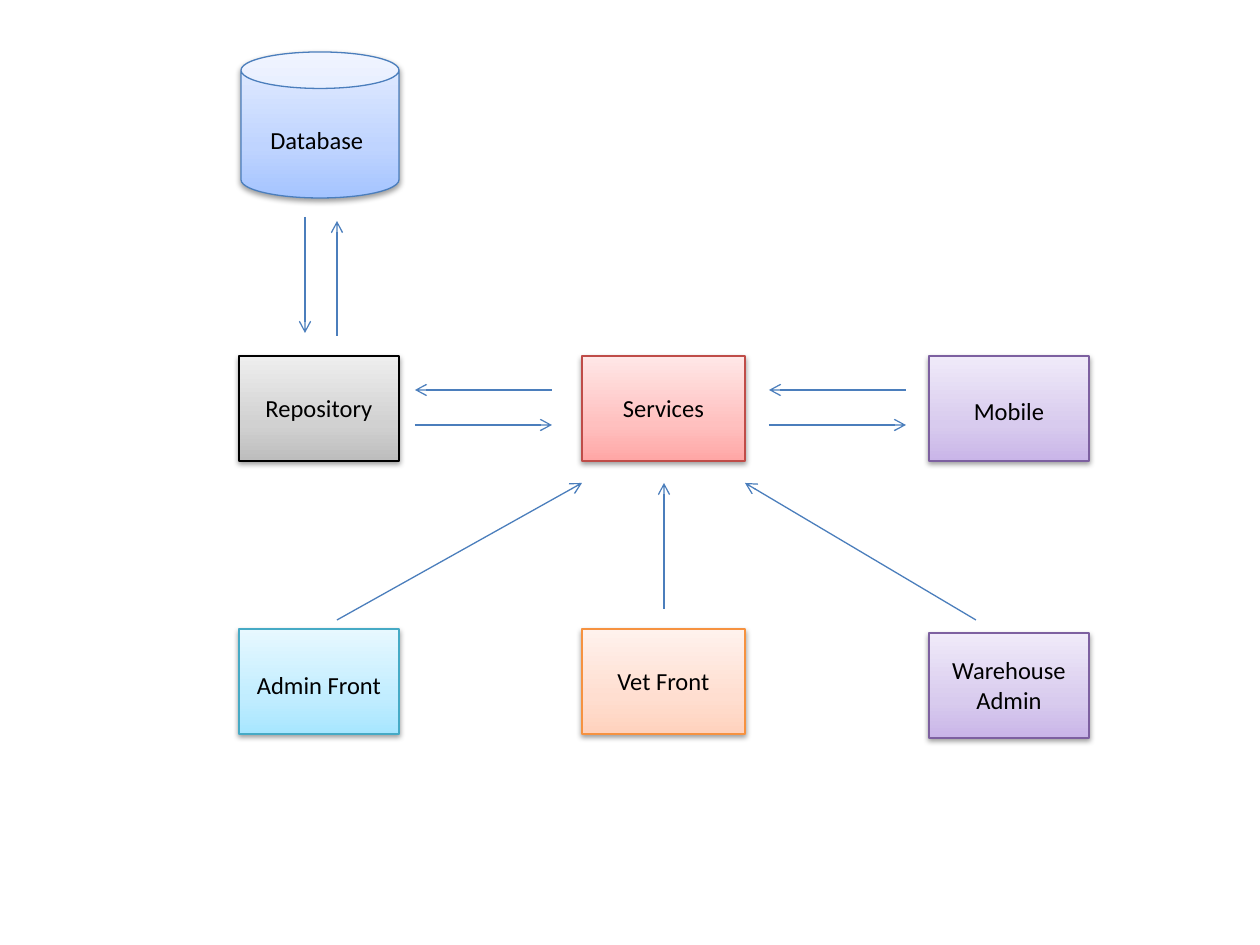
from lxml import etree
from pptx import Presentation, util as u
from pptx.dml.color import RGBColor
from pptx.enum import shapes, text
from pptx.oxml import parse_xml
from pptx.oxml.ns import nsdecls, qn

PX = u.Inches(1) / 126
BLACK = RGBColor(0x00, 0x00, 0x00)
BLUE = RGBColor(0x4B, 0x7E, 0xBC)
RED = RGBColor(0xBF, 0x4C, 0x48)
AQUA = RGBColor(0x46, 0xAA, 0xC5)
ORANGE = RGBColor(0xF6, 0x92, 0x40)
PURPLE = RGBColor(0x7D, 0x60, 0xA0)


def shades(*codes):
    """Return the bottom, middle and top colours of a gradient."""
    return [RGBColor.from_string(code) for code in codes]


GREY_FILL = shades("BDBDBD", "D1D1D1", "EEEEEE")
BLUE_FILL = shades("A4C4FF", "BFD4FF", "E6EEFF")
RED_FILL = shades("FFA6A5", "FFC0BF", "FFE7E7")
AQUA_FILL = shades("A7E6FF", "C1EDFF", "E7F8FF")
ORANGE_FILL = shades("FFD2BD", "FFDED0", "FFF2ED")
PURPLE_FILL = shades("C9B5E8", "D8CBEE", "F0EAF9")

LEFT, CENTRE, RIGHT = 239, 582, 929
SIDE_WIDTH, CENTRE_WIDTH, HEIGHT = 160, 163, 105
MIDDLE_ROW, FRONT_ROW = 356, 629


def px(*lengths):
    """Turn picture pixels into EMU."""
    return [u.Emu(round(length * PX)) for length in lengths]


def paint(body, fill, outline):
    """Give a body its upward gradient, outline and soft shadow."""
    body.fill.gradient()
    gradient = body._element.spPr.find(qn("a:gradFill"))
    stops = "".join(
        f'<a:gs pos="{pos}"><a:srgbClr val="{color}"/></a:gs>'
        for pos, color in zip((0, 35000, 100000), fill))
    gradient.getparent().replace(gradient, parse_xml(
        f'<a:gradFill {nsdecls("a")} rotWithShape="1"><a:gsLst>{stops}</a:gsLst>'
        '<a:lin ang="16200000" scaled="0"/></a:gradFill>'))
    body.line.color.rgb = outline
    body.line.width = u.Pt(0.75)
    body.shadow.inherit = False
    shadow = parse_xml(
        f'<a:outerShdw {nsdecls("a")} blurRad="40000" dist="20000" dir="5400000" '
        'rotWithShape="0"><a:srgbClr val="000000"><a:alpha val="38000"/>'
        '</a:srgbClr></a:outerShdw>')
    body._element.spPr.find(qn("a:effectLst")).append(shadow)


def add_node(slide, box, lines, fill, outline, label_drop,
             outline_shape=shapes.MSO_SHAPE.RECTANGLE, inset=0,
             align=text.PP_ALIGN.CENTER):
    """Group a painted body in box with its label, dropped from the box top."""
    left, top, width, height = box
    node = slide.shapes.add_group_shape()
    body = node.shapes.add_shape(outline_shape, *px(left, top, width, height))
    paint(body, fill, outline)
    label = node.shapes.add_textbox(*px(
        left + inset, top + label_drop, width - 2 * inset, 14 + 29 * len(lines)))
    frame = label.text_frame
    frame.word_wrap = True
    frame.auto_size = text.MSO_AUTO_SIZE.SHAPE_TO_FIT_TEXT
    for index, line in enumerate(lines):
        paragraph = frame.add_paragraph() if index else frame.paragraphs[0]
        paragraph.alignment = align
        run = paragraph.add_run()
        run.text = line
        run.font.name = "Calibri"
        run.font.size = u.Pt(14)
        run.font.color.rgb = BLACK


def add_arrow(slide, start, end):
    """Draw a thin arrow from start to end."""
    arrow = slide.shapes.add_connector(
        shapes.MSO_CONNECTOR.STRAIGHT, *px(*start, *end))
    arrow.line.color.rgb = BLUE
    arrow.line.width = u.Pt(0.75)
    etree.SubElement(arrow.line._get_or_add_ln(), qn("a:tailEnd"), type="arrow")
    etree.SubElement(arrow._element.spPr, qn("a:effectLst"))


def add_exchange(slide, box):
    """Draw a leftward arrow on the box top and a rightward one on its bottom."""
    left, top, width, height = box
    add_arrow(slide, (left + width, top), (left, top))
    add_arrow(slide, (left, top + height), (left + width, top + height))


def add_services_row(slide, top):
    """Place repository, services and mobile, and their exchanges."""
    add_node(slide, (LEFT, top, SIDE_WIDTH, HEIGHT),
             ["Repository"], GREY_FILL, BLACK, 31)
    add_node(slide, (CENTRE, top, CENTRE_WIDTH, HEIGHT),
             ["Services"], RED_FILL, RED, 31)
    add_node(slide, (RIGHT, top, SIDE_WIDTH, HEIGHT),
             ["Mobile"], PURPLE_FILL, PURPLE, 34)
    for left in (415, 769):
        add_exchange(slide, (left, top + 34, 137, 35))


def add_database(slide, box):
    """Place the database and its two arrows to the repository."""
    add_node(slide, box, ["Database"], BLUE_FILL, BLUE, 67,
             shapes.MSO_SHAPE.CAN, 17, text.PP_ALIGN.LEFT)
    left, top, _, height = box
    bottom = top + height
    add_arrow(slide, (left + 64, bottom + 19), (left + 64, bottom + 135))
    add_arrow(slide, (left + 96, bottom + 138), (left + 96, bottom + 23))


def add_fronts_row(slide, top):
    """Place the three front ends and their arrows up to the services."""
    add_node(slide, (LEFT, top, SIDE_WIDTH, HEIGHT),
             ["Admin Front"], AQUA_FILL, AQUA, 35)
    add_node(slide, (CENTRE, top, CENTRE_WIDTH, HEIGHT),
             ["Vet Front"], ORANGE_FILL, ORANGE, 31)
    add_node(slide, (RIGHT, top + 4, SIDE_WIDTH, HEIGHT),
             ["Warehouse", "Admin"], PURPLE_FILL, PURPLE, 16)
    tips = top - 146
    add_arrow(slide, (337, top - 9), (CENTRE, tips))
    add_arrow(slide, (664, top - 20), (664, tips))
    add_arrow(slide, (976, top - 9), (CENTRE + CENTRE_WIDTH, tips))


deck = Presentation()
deck.slide_width, deck.slide_height = u.Inches(10), u.Inches(7.5)
architecture = deck.slides.add_slide(deck.slide_layouts[6])
add_database(architecture, (241, 52, 158, 146))
add_services_row(architecture, MIDDLE_ROW)
add_fronts_row(architecture, FRONT_ROW)
deck.save("out.pptx")
